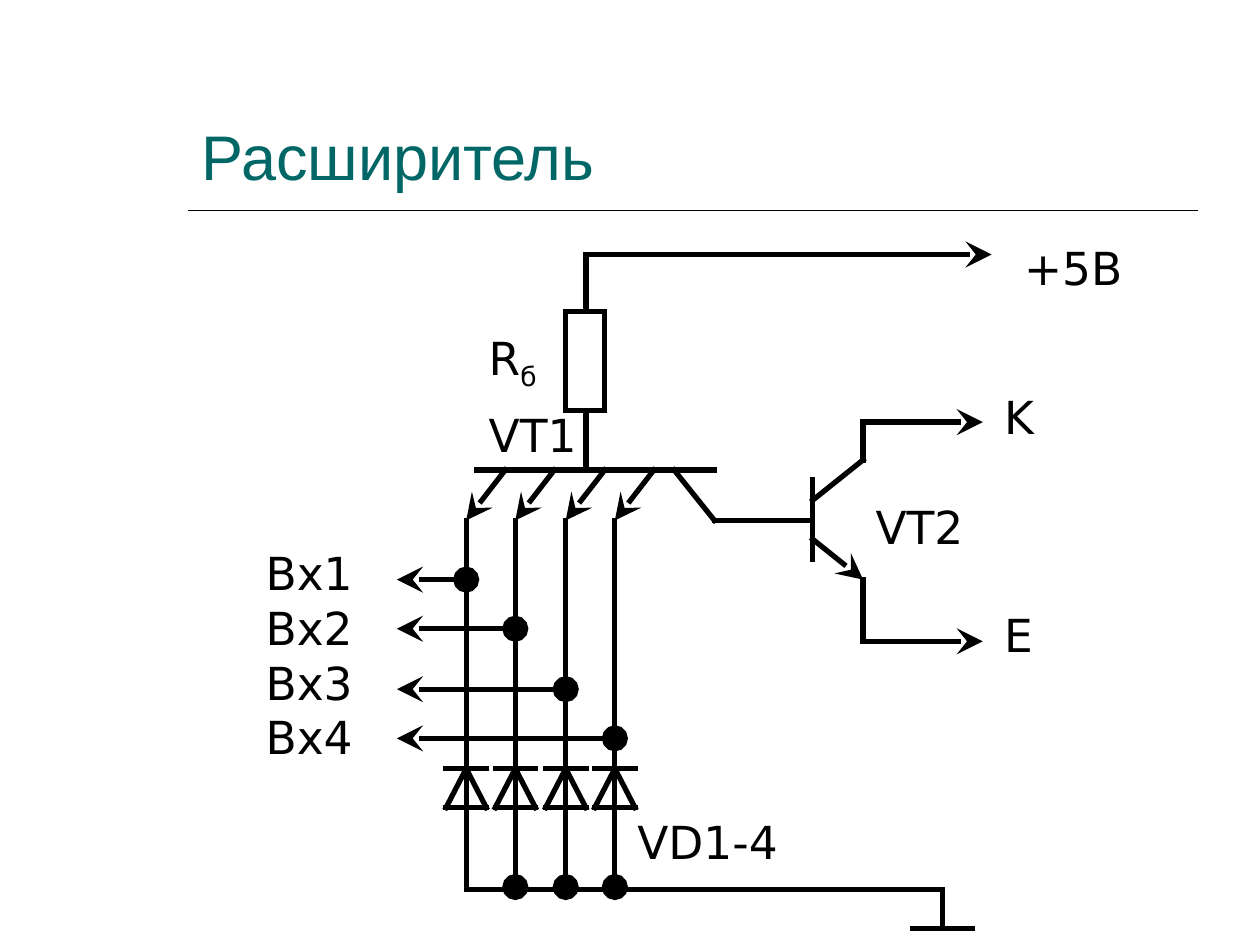
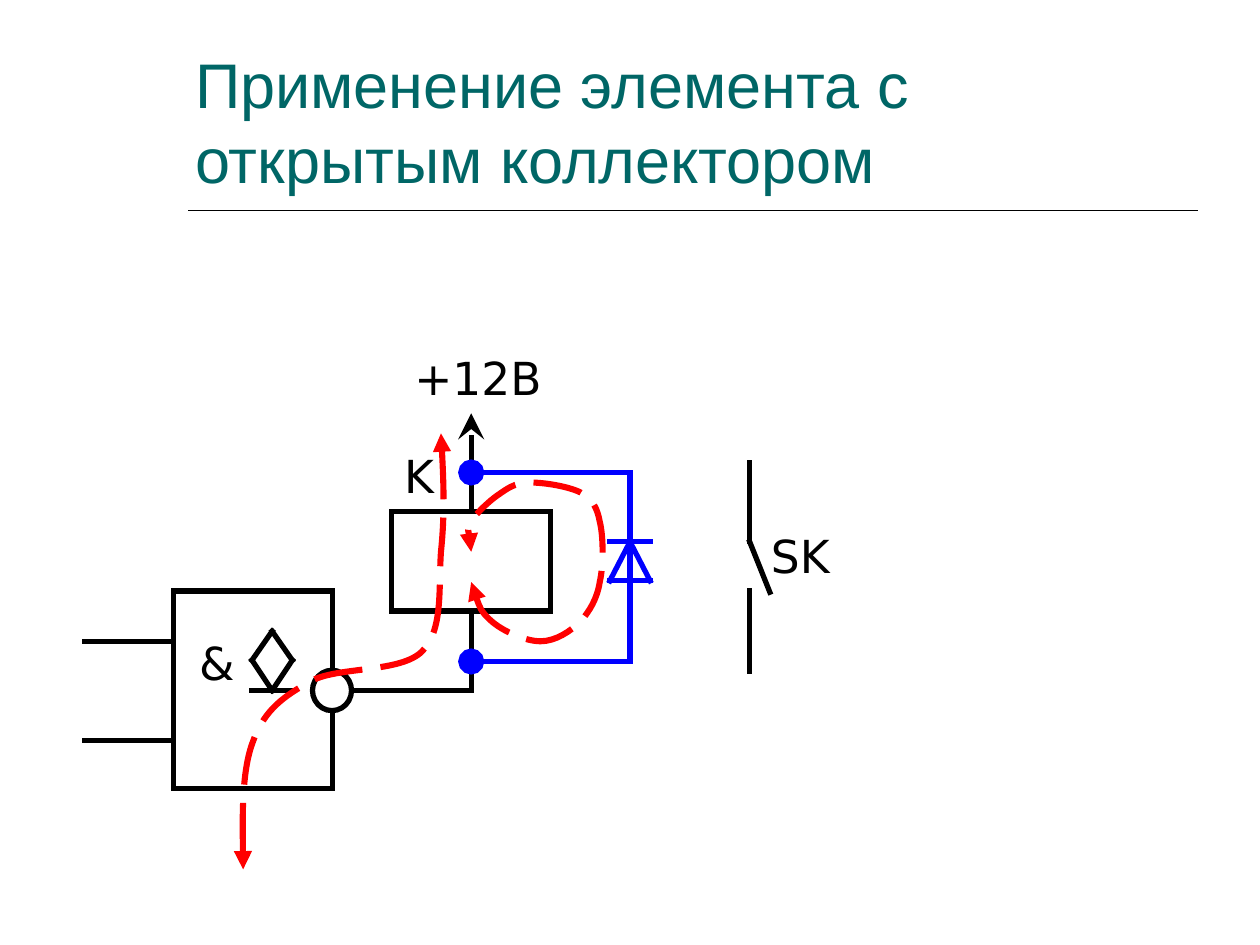
import pptx
import pptx.dml.color
import pptx.enum.dml
import pptx.enum.shapes
import pptx.enum.text
import pptx.oxml.ns
import pptx.util
from lxml import etree

Inches = pptx.util.Inches
paint = pptx.dml.color.RGBColor.from_string
qn = pptx.oxml.ns.qn
KIND = pptx.enum.shapes.MSO_SHAPE
ANCHOR = pptx.enum.text.MSO_ANCHOR

BLACK, WHITE, TEAL, BLUE, RED = "000000", "FFFFFF", "006666", "0000FF", "FF0000"
HEAD = {"size": pptx.util.Pt(36), "name": "Arial"}
BODY = {"size": pptx.util.Pt(26), "name": "DejaVu Sans"}


def wire(page, points, head=None, tail=None, color=BLACK, width=3, curve=False):
    """Draw connectors through the points, or one dashed Bézier line."""
    spots = [(Inches(x), Inches(y)) for x, y in points]
    if curve:
        pen = page.shapes.build_freeform(*spots[0], scale=1.0)
        pen.add_line_segments(spots[1:], close=False)
        parts = [pen.convert_to_shape()]
        parts[0].fill.background()
        parts[0].line.dash_style = pptx.enum.dml.MSO_LINE.LONG_DASH
        # Each three line segments become the control points of one Bézier piece
        legs = list(parts[0].element.iter(qn("a:lnTo")))
        for i in range(0, len(legs), 3):
            bend = etree.Element(qn("a:cubicBezTo"))
            legs[i].addprevious(bend)
            for leg in legs[i:i + 3]:
                bend.append(leg[0])
                leg.getparent().remove(leg)
    else:
        parts = [page.shapes.add_connector(pptx.enum.shapes.MSO_CONNECTOR.STRAIGHT, *a, *b)
                 for a, b in zip(spots, spots[1:])]
    for part in parts:
        part.line.color.rgb = paint(color)
        part.line.width = pptx.util.Pt(width)
        if not curve:
            part.element.spPr.find(qn("a:ln")).set("cap", "sq")
        etree.SubElement(part.element.spPr, qn("a:effectLst"))
    size = "med" if curve else "lg"
    for part, tag, tip in ((parts[0], "a:headEnd", head), (parts[-1], "a:tailEnd", tail)):
        if tip:
            line = part.element.spPr.find(qn("a:ln"))
            etree.SubElement(line, qn(tag), type=tip, w=size, len=size)


def write(shape, text, style=BODY, color=BLACK, anchor=ANCHOR.TOP):
    """Fill a shape with text; an underscore starts a subscript."""
    frame = shape.text_frame
    frame.word_wrap = True
    frame.vertical_anchor = anchor
    para = frame.paragraphs[0]
    para.alignment = pptx.enum.text.PP_ALIGN.LEFT
    base, _, sub = text.partition("_")
    para.text = base
    if sub:
        run = para.add_run()
        run.text = sub
        run._r.get_or_add_rPr().set("baseline", "-25000")
    for run in para.runs:
        for key, value in style.items():
            setattr(run.font, key, value)
        run.font.color.rgb = paint(color)


deck = pptx.Presentation()
deck.slide_width, deck.slide_height = Inches(10), Inches(7.5)

# Title, title place, boxes and labels of each slide
plans = [
    ("Расширитель", (1.5, 0.05, 8, 1.53),
     [(KIND.RECTANGLE, (4.49, 2.47, 0.31, 0.79), "")],
     [("+5В", (8.03, 1.86, 1.02, 0.54)),
      ("Вх1\nВх2\nВх3\nВх4", (2.01, 4.28, 1.02, 1.84)),
      ("R_б", (3.78, 2.57, 0.71, 0.6)),
      ("VT1", (3.78, 3.18, 1.02, 0.54)),
      ("VD1-4", (4.96, 6.41, 1.81, 0.54)),
      ("VT2", (6.85, 3.91, 1.02, 0.54)),
      ("K", (7.87, 3.04, 1.02, 0.54)),
      ("E", (7.87, 4.77, 1.02, 0.54))]),
    ("Применение элемента с открытым коллектором", (1.45, 0.05, 8, 1.56),
     [(KIND.RECTANGLE, (1.38, 4.69, 1.26, 1.57), "&"),
      (KIND.OVAL, (2.48, 5.32, 0.31, 0.32), ""),
      (KIND.RECTANGLE, (3.11, 4.06, 1.26, 0.79), "")],
     [("+12В", (3.19, 2.73, 1.26, 0.54)),
      ("K", (3.11, 3.51, 0.63, 0.54)),
      ("SK", (6.02, 4.14, 1.26, 0.54))]),
]
pages = []
for title, place, boxes, notes in plans:
    page = deck.slides.add_slide(deck.slide_layouts[6])
    pages.append(page)
    wire(page, [(1.5, 1.67), (9.5, 1.67)], width=1)
    write(page.shapes.add_textbox(*map(Inches, place)), title, HEAD, TEAL, ANCHOR.BOTTOM)
    for kind, spot, sign in boxes:
        box = page.shapes.add_shape(kind, *map(Inches, spot))
        box.shadow.inherit = False
        box.fill.solid()
        box.fill.fore_color.rgb = paint(WHITE)
        box.line.color.rgb = paint(BLACK)
        box.line.width = pptx.util.Pt(3)
        etree.SubElement(box.element.spPr.find(qn("a:ln")), qn("a:miter"), lim="800000")
        if sign:
            write(box, sign)
            box.text_frame.margin_left = Inches(0.2)
            box.text_frame.margin_top = Inches(0.35)
    for text, spot in notes:
        write(page.shapes.add_textbox(*map(Inches, spot)), text)
first, second = pages

# Inputs: emitter, column with its joints, and the arrow to the input
inputs = [(3.7, 4.6), (4.09, 4.99), (4.49, 5.47), (4.88, 5.86)]
for x, y in inputs:
    wire(first, [(x + 0.31, 3.73), (x, 4.13)], tail="stealth")
    wire(first, [(x, 4.13), (x, y)])
    wire(first, [(x, 7.04), (x, y)], head="oval" if x > 3.7 else None, tail="oval")
    wire(first, [(x, y), (3.15, y)], tail="stealth")

# Supply, both transistors and ground
for points, tip in [
    ([(4.65, 2.47), (4.65, 2.02), (7.87, 2.02)], "stealth"),
    ([(4.65, 3.26), (4.65, 3.73)], None),
    ([(3.78, 3.73), (5.67, 3.73)], None),
    ([(5.35, 3.73), (5.67, 4.13), (6.45, 4.13)], None),
    ([(6.45, 3.81), (6.45, 4.44)], None),
    ([(6.45, 3.97), (6.85, 3.65), (6.85, 3.35), (7.8, 3.35)], "stealth"),
    ([(6.45, 4.28), (6.85, 4.6)], "stealth"),
    ([(6.85, 4.6), (6.85, 5.09), (7.8, 5.09)], "stealth"),
    ([(3.7, 7.06), (7.48, 7.06), (7.48, 7.37)], None),
    ([(7.24, 7.37), (7.72, 7.37)], None),
]:
    wire(first, points, tail=tip)

# Gate with its open collector sign, relay and switch
for points, tip in [
    ([(0.67, 5.09), (1.38, 5.09)], None),
    ([(0.67, 5.88), (1.38, 5.88)], None),
    ([(2.16, 5.01), (2.32, 5.24), (2.16, 5.48), (2, 5.24), (2.16, 5.01)], None),
    ([(2, 5.48), (2.32, 5.48)], None),
    ([(2.81, 5.48), (3.74, 5.48), (3.74, 4.85)], None),
    ([(3.74, 4.06), (3.74, 3.28)], "stealth"),
    ([(5.95, 3.67), (5.95, 4.3), (6.11, 4.7)], None),
    ([(5.95, 4.69), (5.95, 5.33)], None),
]:
    wire(second, points, tail=tip)
wire(second, [(3.74, 5.25), (5, 5.25), (5, 3.75), (3.74, 3.75)], "oval", "oval", BLUE)

diodes = [(first, x, 6.1, BLACK) for x, _ in inputs] + [(second, 5, 4.3, BLUE)]
for page, x, y, color in diodes:
    low = y + 0.31
    wire(page, [(x - 0.16, y), (x + 0.16, y)], color=color)
    wire(page, [(x, y), (x + 0.16, low), (x - 0.16, low), (x, y)], color=color)

# Current paths: a start, then two controls and an end for each Bézier piece
flows = [
    [(3.5, 3.44), (3.52, 3.76), (3.53, 4.09), (3.5, 4.38),
     (3.48, 4.67), (3.52, 5), (3.35, 5.17), (3.18, 5.34), (2.7, 5.29), (2.48, 5.4),
     (2.26, 5.52), (2.1, 5.63), (2.01, 5.88), (1.91, 6.13), (1.93, 6.87), (1.93, 6.9)],
    [(3.74, 4.62), (3.77, 4.73), (3.81, 4.85), (3.9, 4.93),
     (3.99, 5.01), (4.17, 5.09), (4.29, 5.09), (4.41, 5.09), (4.53, 5.01), (4.61, 4.93),
     (4.68, 4.85), (4.74, 4.75), (4.76, 4.62), (4.79, 4.49), (4.79, 4.26), (4.76, 4.14),
     (4.74, 4.03), (4.7, 3.96), (4.61, 3.91), (4.51, 3.86), (4.32, 3.83), (4.21, 3.83),
     (4.11, 3.83), (4.05, 3.86), (3.98, 3.91), (3.9, 3.96), (3.78, 4.07), (3.74, 4.14),
     (3.7, 4.22), (3.74, 4.35), (3.74, 4.38)],
]
for flow in flows:
    wire(second, flow, "triangle", "triangle", RED, 3.5, curve=True)

deck.save("out.pptx")
